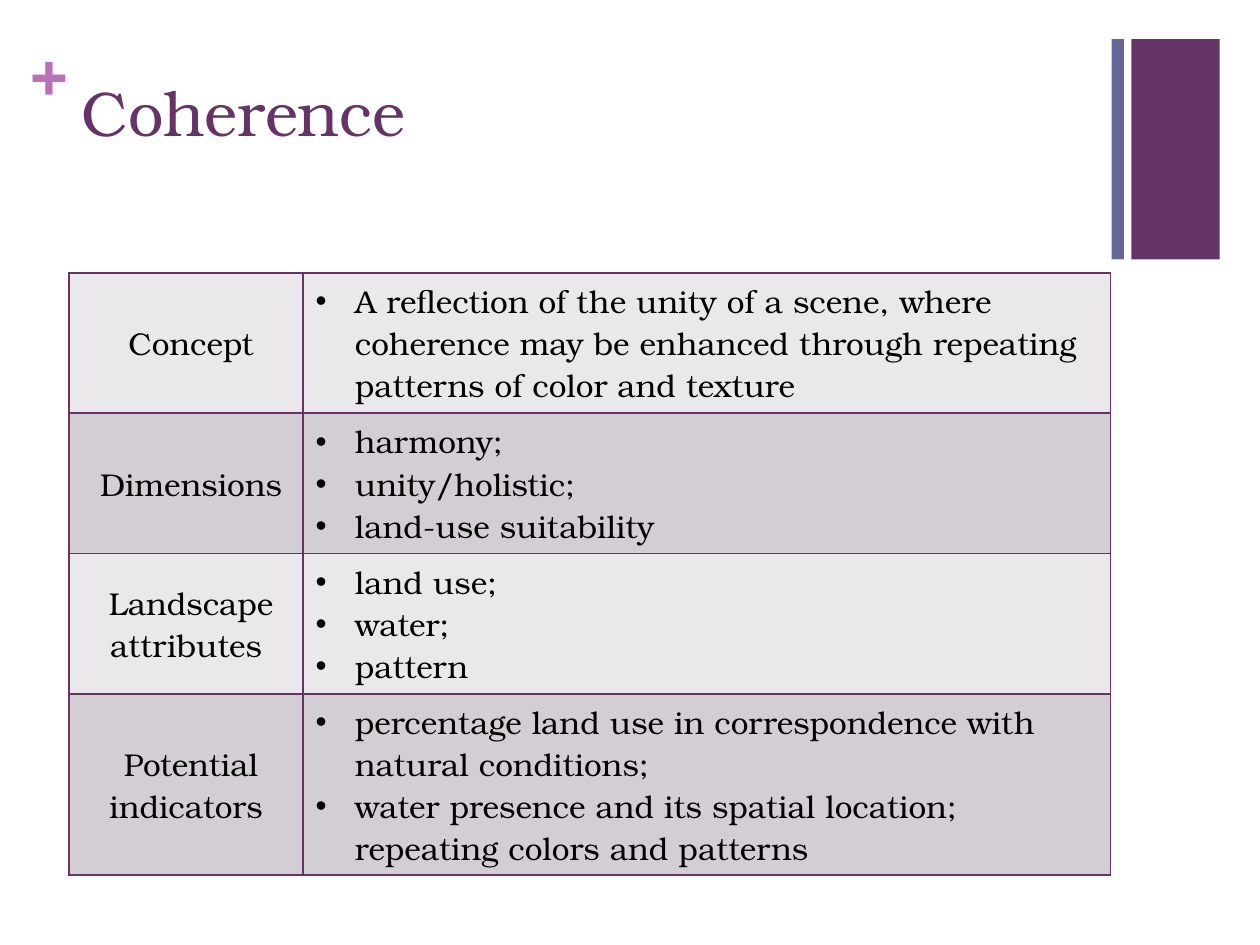
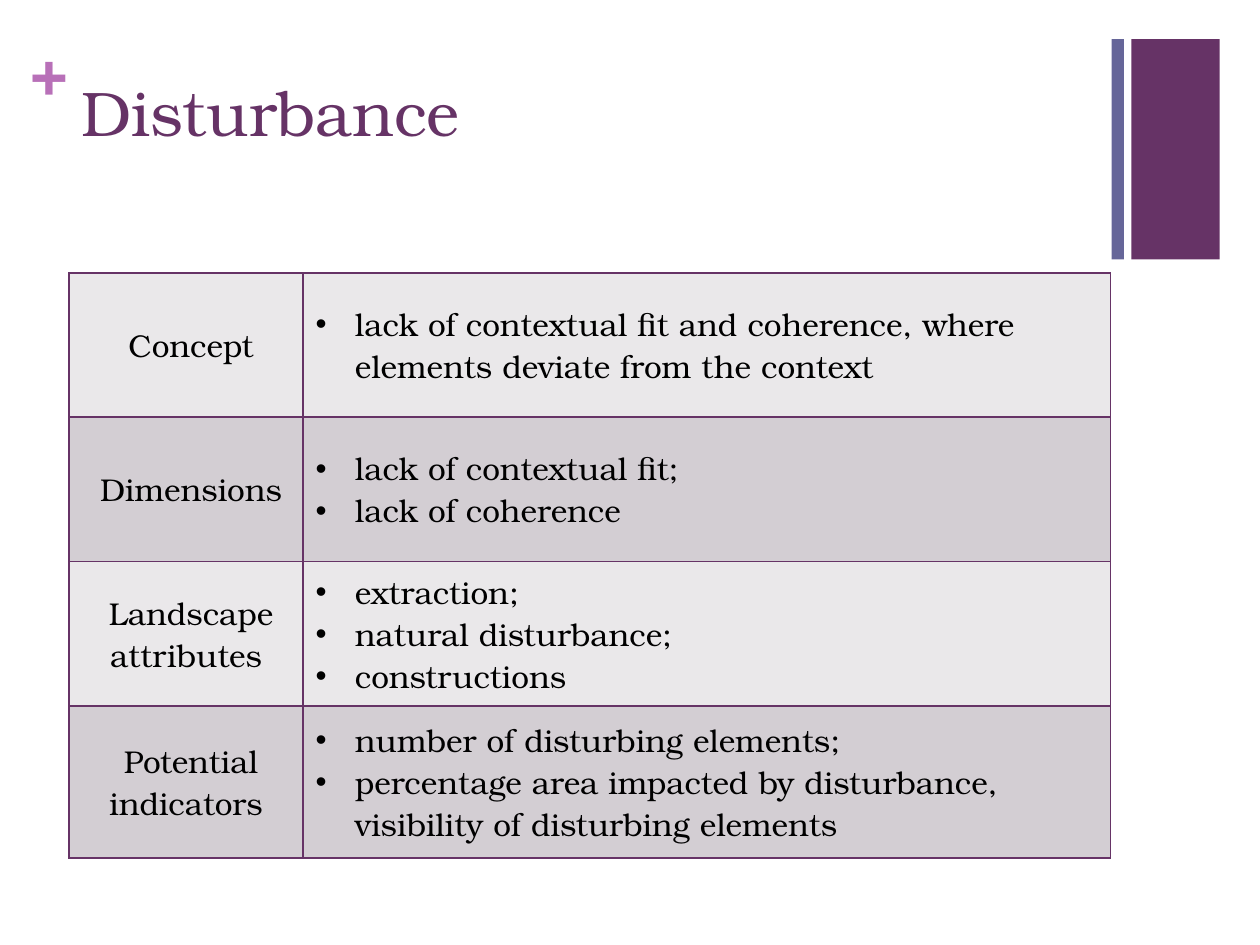
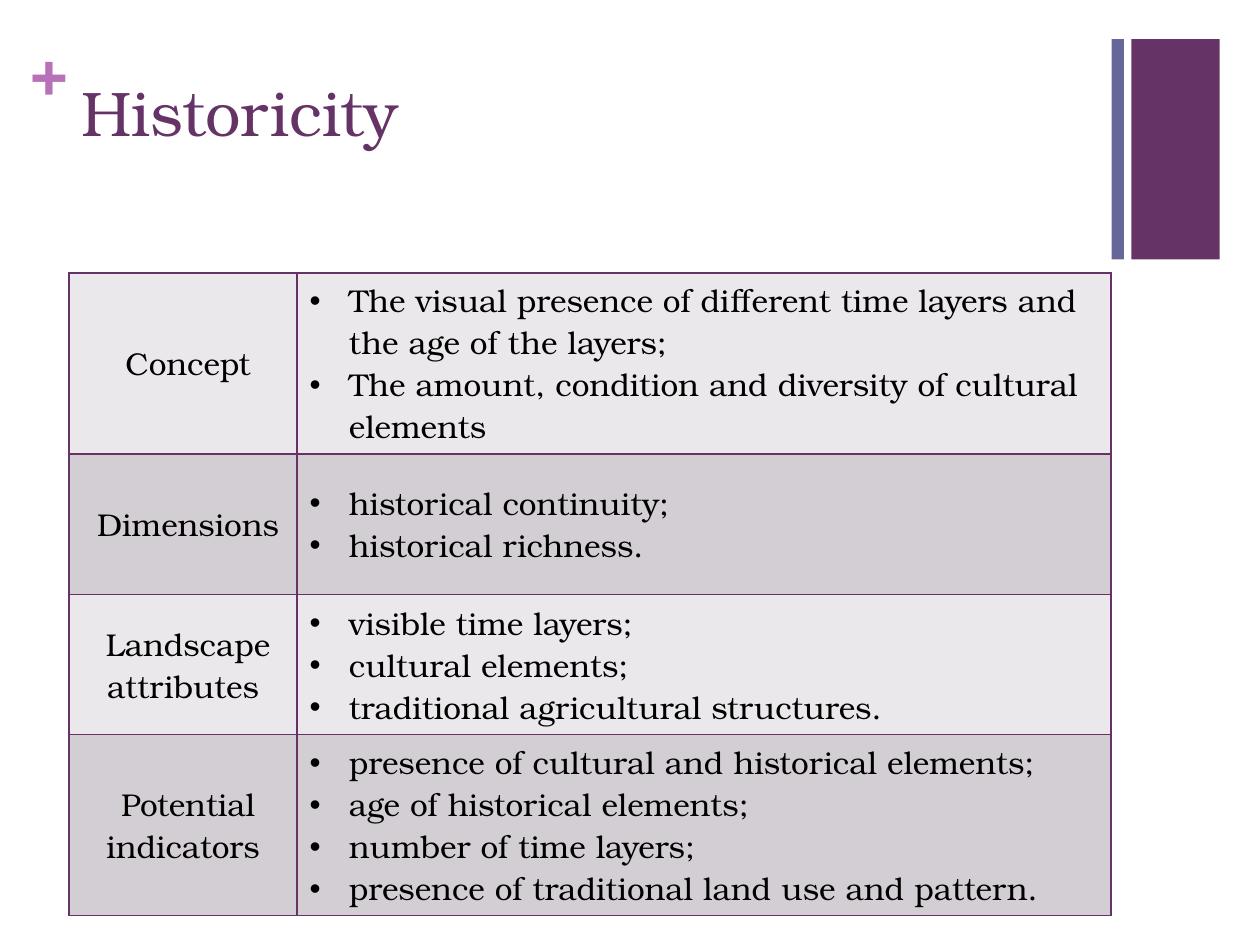
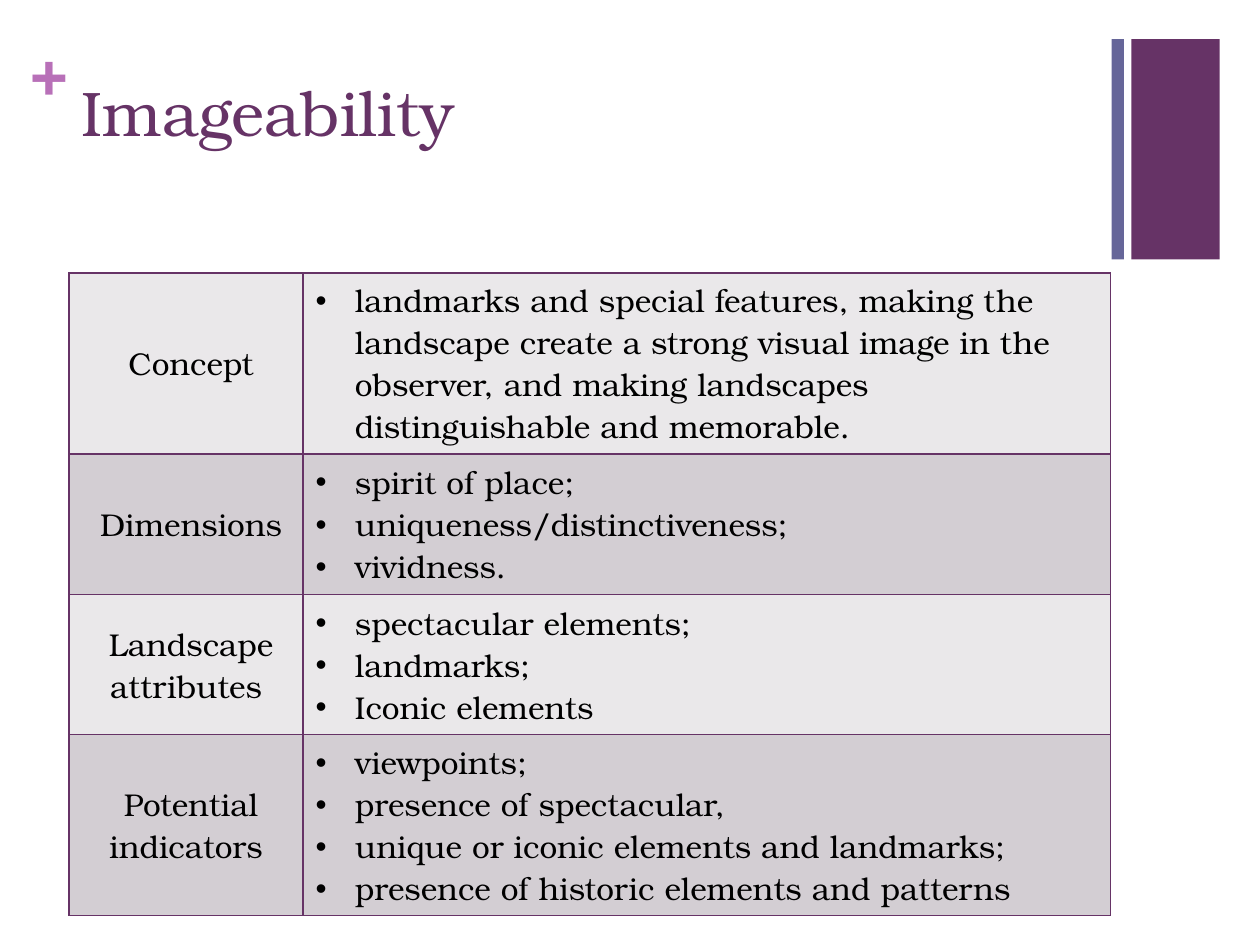
from lxml.etree import SubElement
from pptx import Presentation
from pptx.dml.color import RGBColor
from pptx.enum.shapes import MSO_SHAPE
from pptx.enum.text import MSO_ANCHOR, MSO_AUTO_SIZE, PP_ALIGN
from pptx.oxml import parse_xml
from pptx.oxml.ns import nsdecls, qn
from pptx.util import Cm, Pt

FONT = "TeX Gyre Bonum"
PURPLE, SLATE, ORCHID, BLACK = "663366", "666699", "B870B8", "000000"
ROW_FILLS = ("EAE8EA", "D3CED3")
ROW_LABELS = (" Concept", " Dimensions", " Landscape attributes", " Potential indicators")
TITLE_ONLY = 5

# Boxes are left, top, width, height in centimetres
TITLE_BOX = (1.39, 1.35, 20.98, 3.1)
PLUS_BOX = (0.61, 0.64, 0.74, 1.55)
BANDS_BOX = (22.41, 0.79, 2.18, 4.44)
TABLE_PLACE = (1.39, 5.5)
COLUMN_WIDTHS = (4.72, 16.28)
THREE_LINES, FOUR_LINES = 2.83, 3.65
ROW_HEIGHTS = (FOUR_LINES, THREE_LINES, THREE_LINES, FOUR_LINES)
BULLET_INDENT = Cm(0.79)

SLIDES = [
    {"title": "Coherence",
     "row_heights": (THREE_LINES, THREE_LINES, THREE_LINES, FOUR_LINES),
     "rows": [
         ["A reflection of the unity of a scene, where coherence may be enhanced "
          "through repeating patterns of color and texture"],
         ["harmony;", "unity/holistic;", "land-use suitability"],
         ["land use;", "water;", "pattern"],
         ["percentage land use in correspondence with natural conditions;",
          "water presence and its spatial location; repeating colors and patterns"]]},
    {"title": "Disturbance",
     "row_heights": (2.91, 2.91, 2.91, 3.07),
     "rows": [
         ["lack of contextual fit and coherence, where elements deviate from the context"],
         ["lack of contextual fit;", "lack of coherence"],
         ["extraction;", "natural disturbance;", "constructions"],
         ["number of disturbing elements;",
          "percentage area impacted by disturbance, visibility of disturbing elements"]]},
    {"title": "Historicity",
     "column_widths": (4.6, 16.41),
     "rows": [
         ["The visual presence of different time layers and the age of the layers;",
          "The amount, condition and diversity of cultural elements"],
         ["historical continuity;", "historical richness."],
         ["visible time layers;", "cultural elements;",
          "traditional agricultural structures."],
         ["presence of cultural and historical elements;", "age of historical elements;",
          "number of time layers;", "presence of traditional land use and pattern."]]},
    {"title": "Imageability",
     "rows": [
         ["landmarks and special features, making the landscape create a strong visual "
          "image in the observer, and making landscapes distinguishable and memorable."],
         ["spirit of place;", "uniqueness/distinctiveness;", "vividness."],
         ["spectacular elements;", "landmarks;", "Iconic elements"],
         ["viewpoints;", "presence of spectacular,",
          "unique or iconic elements and landmarks;",
          "presence of historic elements and patterns"]]},
]


def color(hex_value):
    return RGBColor.from_string(hex_value)


def to_cm(box):
    return [Cm(length) for length in box]


def add_bullet(paragraph):
    properties = paragraph._p.get_or_add_pPr()
    properties.set("marL", str(BULLET_INDENT))
    properties.set("indent", str(-BULLET_INDENT))
    SubElement(properties, qn("a:buFont"), typeface="Arial")
    SubElement(properties, qn("a:buChar"), char="•")


def write_text(text_frame, lines, size=18, text_color=BLACK, bold=False,
               align=PP_ALIGN.LEFT, bullets=False):
    """Fill a text frame with one formatted paragraph per line."""
    for index, line in enumerate(lines):
        paragraph = text_frame.add_paragraph() if index else text_frame.paragraphs[0]
        paragraph.alignment = align
        if bullets:
            add_bullet(paragraph)
        run = paragraph.add_run()
        run.text = line
        run.font.name = FONT
        run.font.size = Pt(size)
        run.font.bold = bold
        run.font.color.rgb = color(text_color)


def add_band(slide, box, fill):
    band = slide.shapes.add_shape(MSO_SHAPE.RECTANGLE, *to_cm(box))
    band.shadow.inherit = False
    band.fill.solid()
    band.fill.fore_color.rgb = color(fill)
    band.line.fill.background()


def add_corner_bands(slide, box):
    left, top, width, height = box
    add_band(slide, (left + 0.4, top, width - 0.4, height), PURPLE)
    add_band(slide, (left, top, 0.25, height), SLATE)


def add_plus_sign(slide, box):
    text_frame = slide.shapes.add_textbox(*to_cm(box)).text_frame
    text_frame.margin_left = text_frame.margin_right = 0
    text_frame.margin_top = text_frame.margin_bottom = 0
    text_frame.word_wrap = True
    text_frame.auto_size = MSO_AUTO_SIZE.SHAPE_TO_FIT_TEXT
    write_text(text_frame, ["+"], size=36, text_color=ORCHID, bold=True)


def set_title(slide, box, text):
    title = slide.shapes.title
    title.left, title.top, title.width, title.height = to_cm(box)
    title.text_frame.auto_size = MSO_AUTO_SIZE.NONE
    title.text_frame.vertical_anchor = MSO_ANCHOR.TOP
    write_text(title.text_frame, [text], size=36, text_color=PURPLE)


def format_cell(cell, fill):
    """Set the fill, the middle anchor and the four borders of a cell."""
    cell.vertical_anchor = MSO_ANCHOR.MIDDLE
    cell.fill.solid()
    cell.fill.fore_color.rgb = color(fill)
    properties = cell._tc.get_or_add_tcPr()
    for index, side in enumerate("LRTB"):
        properties.insert(index, parse_xml(
            f'<a:ln{side} {nsdecls("a")} w="{Pt(1)}"><a:solidFill>'
            f'<a:srgbClr val="{PURPLE}"/></a:solidFill></a:ln{side}>'))


def add_concept_table(slide, place, rows, column_widths, row_heights):
    frame = slide.shapes.add_table(
        len(rows), len(column_widths),
        *to_cm((*place, sum(column_widths), sum(row_heights))))
    table = frame.table
    table.first_row = table.horz_banding = False
    for column, width in zip(table.columns, column_widths):
        column.width = Cm(width)
    for index, (label, points) in enumerate(zip(ROW_LABELS, rows)):
        table.rows[index].height = Cm(row_heights[index])
        label_cell, points_cell = table.rows[index].cells
        for cell in (label_cell, points_cell):
            format_cell(cell, ROW_FILLS[index % 2])
        write_text(label_cell.text_frame, [label], align=PP_ALIGN.CENTER)
        write_text(points_cell.text_frame, points, bullets=True)


def add_concept_slide(presentation, title, rows, column_widths=COLUMN_WIDTHS,
                      row_heights=ROW_HEIGHTS):
    slide = presentation.slides.add_slide(presentation.slide_layouts[TITLE_ONLY])
    add_corner_bands(slide, BANDS_BOX)
    add_plus_sign(slide, PLUS_BOX)
    set_title(slide, TITLE_BOX, title)
    add_concept_table(slide, TABLE_PLACE, rows, column_widths, row_heights)


def main():
    presentation = Presentation()
    presentation.slide_width, presentation.slide_height = Cm(25.4), Cm(19.05)
    for content in SLIDES:
        add_concept_slide(presentation, **content)
    presentation.save("out.pptx")


if __name__ == "__main__":
    main()
